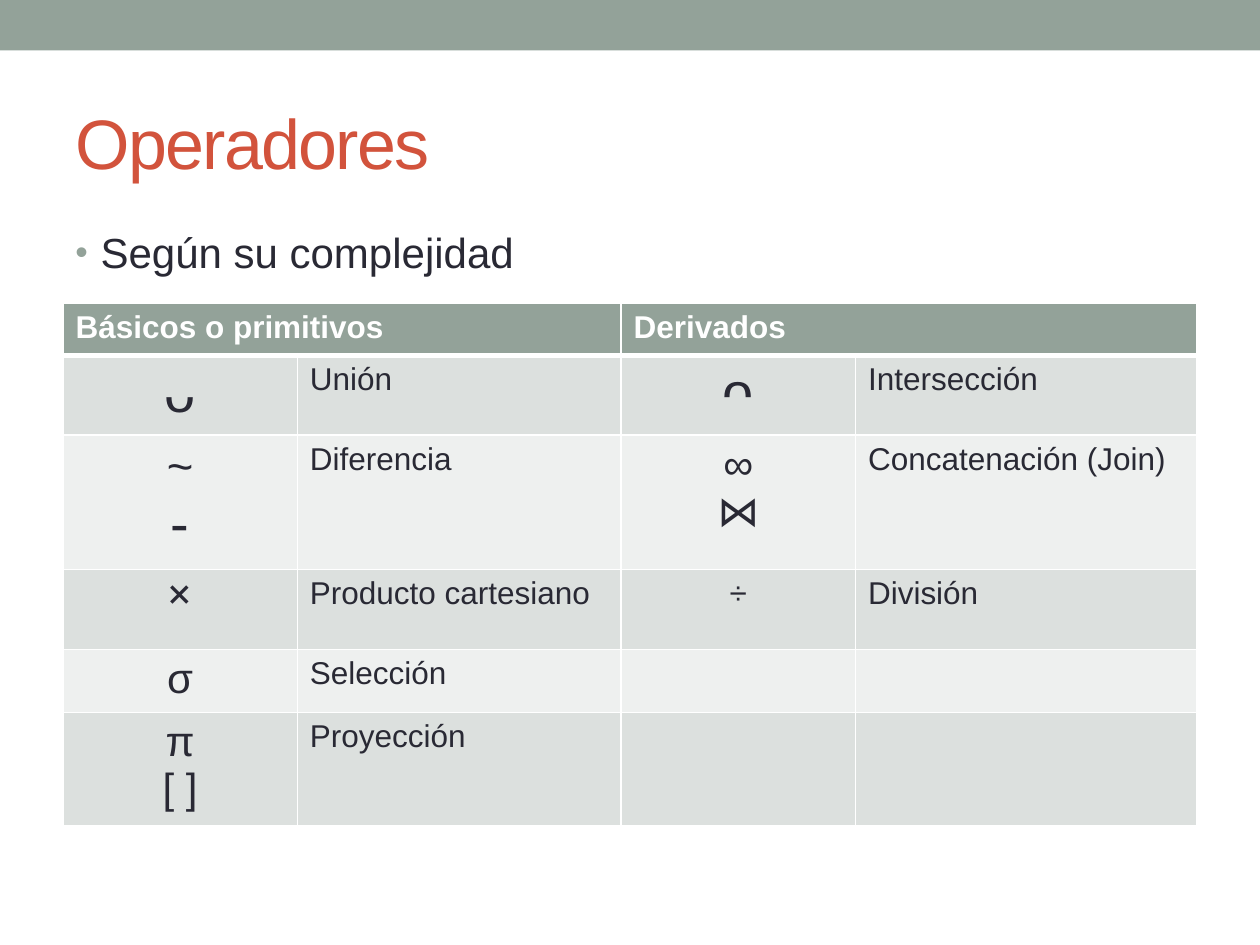
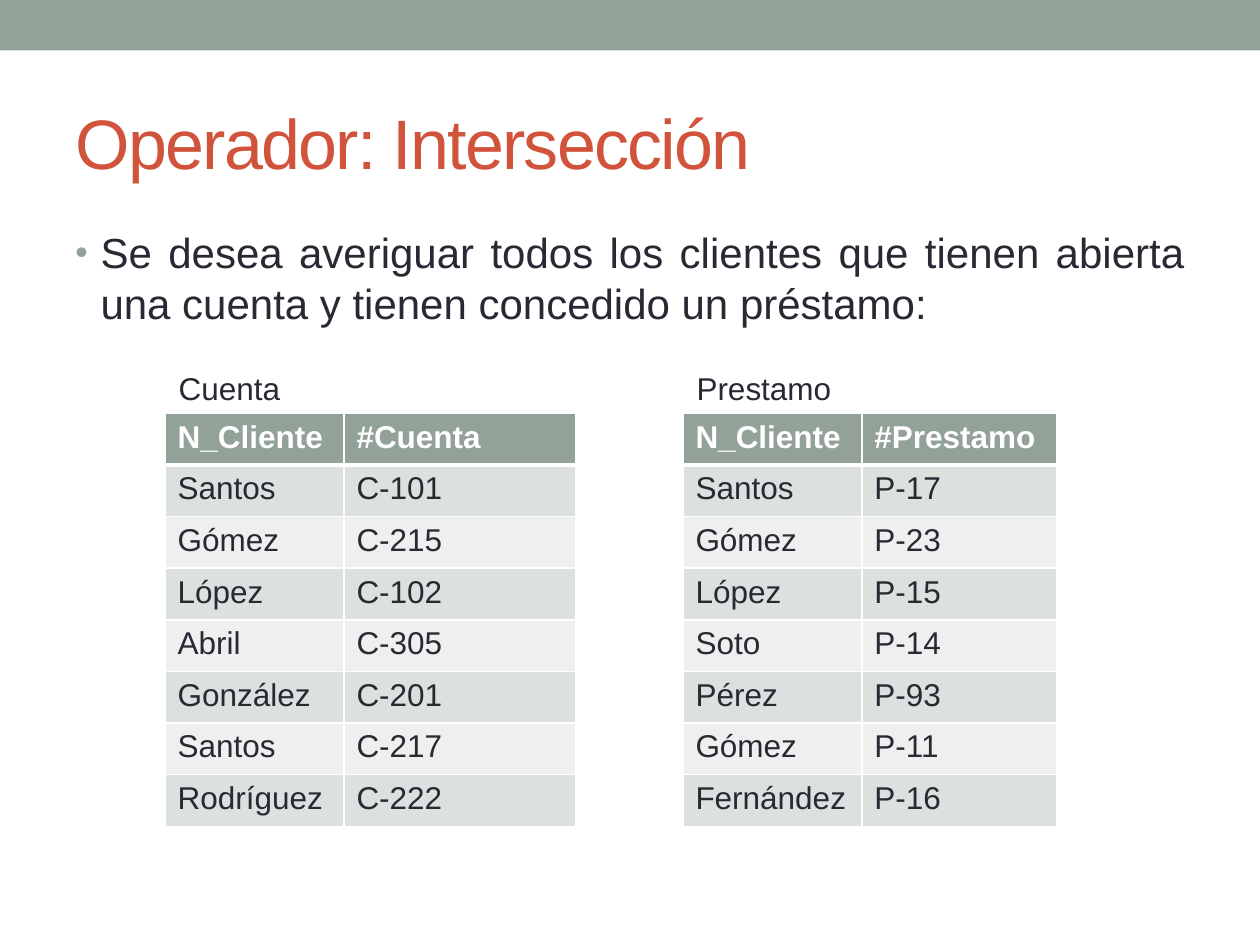
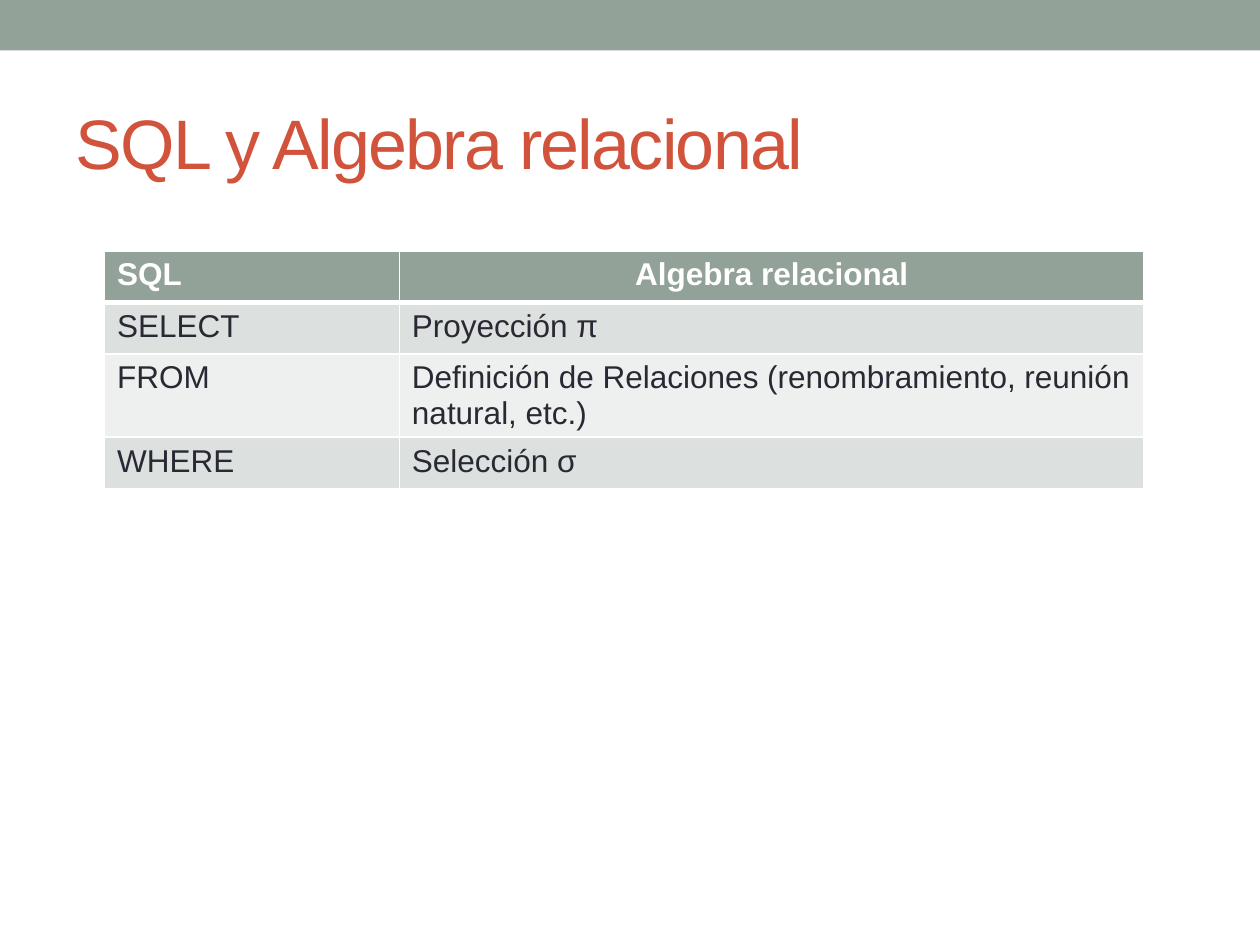
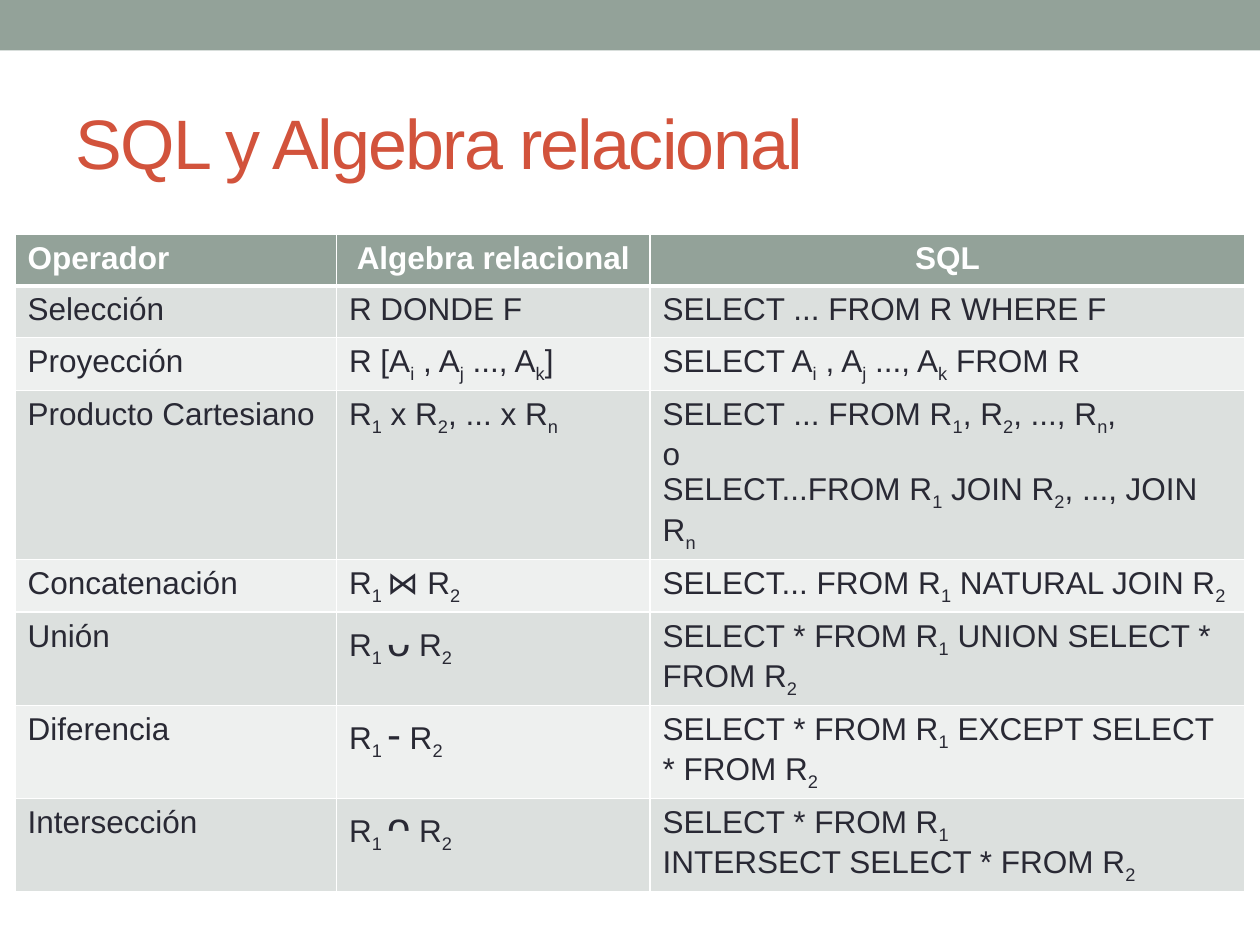
from dataclasses import dataclass

from lxml import etree
from pptx import Presentation
from pptx.dml.color import RGBColor
from pptx.enum.shapes import MSO_SHAPE
from pptx.enum.text import MSO_ANCHOR, MSO_AUTO_SIZE, PP_ALIGN
from pptx.oxml.ns import qn
from pptx.util import Inches, Pt

RECTANGLE = MSO_SHAPE.RECTANGLE
MIDDLE, TOP = MSO_ANCHOR.MIDDLE, MSO_ANCHOR.TOP
FIT_SHAPE = MSO_AUTO_SIZE.SHAPE_TO_FIT_TEXT
NO_FIT = MSO_AUTO_SIZE.NONE
LEFT, CENTER, JUSTIFY = PP_ALIGN.LEFT, PP_ALIGN.CENTER, PP_ALIGN.JUSTIFY


@dataclass(frozen=True)
class Theme:
    font: str = "Arial"
    accent: str = "93A299"
    title: str = "D2533C"
    text: str = "292934"
    white: str = "FFFFFF"
    dark_row: str = "DCE0DE"
    light_row: str = "EEF0EF"
    title_size: int = 40
    bullet_size: int = 24
    body_size: int = 18
    row_height: float = 0.41
    border: int = 1
    header_border: int = 3


THEME = Theme()

# In cell texts {_:x} is a subscript and {24:x} a symbol of 24 points.
OPERATORS = [
    ["Básicos o primitivos", "", "Derivados", ""],
    ["{32:ᴗ}", "Unión", "{32:ᴖ}", "Intersección"],
    ["{26:~}\n{32:-}", "Diferencia", "{24:∞}\n{24:⋈}", "Concatenación (Join)"],
    ["{32:˟}", "Producto cartesiano", "÷", "División"],
    ["{24:σ}", "Selección", "", ""],
    ["{24:π}\n{24:[ ]}", "Proyección", "", ""],
]
ACCOUNTS = [
    ["N_Cliente", "#Cuenta"],
    ["Santos", "C-101"],
    ["Gómez", "C-215"],
    ["López", "C-102"],
    ["Abril", "C-305"],
    ["González", "C-201"],
    ["Santos", "C-217"],
    ["Rodríguez", "C-222"],
]
LOANS = [
    ["N_Cliente", "#Prestamo"],
    ["Santos", "P-17"],
    ["Gómez", "P-23"],
    ["López", "P-15"],
    ["Soto", "P-14"],
    ["Pérez", "P-93"],
    ["Gómez", "P-11"],
    ["Fernández", "P-16"],
]
CLAUSES = [
    ["SQL", "Algebra relacional"],
    ["SELECT", "Proyección π"],
    ["FROM", "Definición de Relaciones (renombramiento, reunión natural, etc.)"],
    ["WHERE", "Selección σ"],
]
EQUIVALENCES = [
    ["Operador", "Algebra relacional", "SQL"],
    ["Selección", "R DONDE F", "SELECT ... FROM R WHERE F"],
    ["Proyección", "R [A{_:i} , A{_:j} ..., A{_:k}]",
     "SELECT A{_:i} , A{_:j} ..., A{_:k} FROM R"],
    ["Producto Cartesiano", "R{_:1} x R{_:2}, ... x R{_:n}",
     "SELECT ... FROM R{_:1}, R{_:2}, ..., R{_:n},\no\n"
     "SELECT...FROM R{_:1} JOIN R{_:2}, ..., JOIN R{_:n}"],
    ["Concatenación", "R{_:1 }⋈ R{_:2}", "SELECT... FROM R{_:1} NATURAL JOIN R{_:2}"],
    ["Unión", "R{_:1 }{24:ᴗ} R{_:2}",
     "SELECT * FROM R{_:1} UNION SELECT * FROM R{_:2}"],
    ["Diferencia", "R{_:1 }{24:-} R{_:2}",
     "SELECT * FROM R{_:1} EXCEPT SELECT * FROM R{_:2}"],
    ["Intersección", "R{_:1 }{24:ᴖ} R{_:2}",
     "SELECT * FROM R{_:1}\nINTERSECT SELECT * FROM R{_:2}"],
]


def rgb(color):
    return RGBColor.from_string(color)


def set_font(paragraph, size, color, bold=False):
    font = paragraph.font
    font.name, font.size, font.bold = THEME.font, Pt(size), bold
    font.color.rgb = rgb(color)


def add_marked_runs(paragraph, text):
    """Add runs, reading the {_:x} and {size:x} marks."""
    for piece in text.replace("}", "{").split("{"):
        mark, colon, content = piece.partition(":")
        if not piece:
            continue
        run = paragraph.add_run()
        run.text = content if colon else piece
        if mark == "_":
            run.font._element.set("baseline", "-25000")
        elif colon:
            run.font.size = Pt(int(mark))


# Slide frame: band and title
def add_slide(prs, title_text):
    slide = prs.slides.add_slide(prs.slide_layouts[5])
    band = slide.shapes.add_shape(RECTANGLE, 0, 0, prs.slide_width, Inches(0.4))
    band.shadow.inherit = False
    band.fill.solid()
    band.fill.fore_color.rgb = rgb(THEME.accent)
    band.line.fill.background()

    title = slide.shapes.title
    title.left, title.top = Inches(0.5), Inches(0.58)
    title.width, title.height = Inches(9), Inches(1.08)
    frame = title.text_frame
    frame.text = title_text
    frame.vertical_anchor = MIDDLE
    frame.auto_size = NO_FIT
    heading = frame.paragraphs[0]
    heading.alignment = LEFT
    set_font(heading, THEME.title_size, THEME.title)
    heading.runs[0].font._element.set("spc", "-100")
    return slide


def add_text(slide, text, left, top, width, height, size):
    box = slide.shapes.add_textbox(Inches(left), Inches(top), Inches(width), Inches(height))
    frame = box.text_frame
    frame.word_wrap = True
    frame.text = text
    set_font(frame.paragraphs[0], size, THEME.text)
    return frame


def add_bullet(slide, text):
    frame = add_text(slide, text, 0.5, 1.75, 9, 5.33, THEME.bullet_size)
    paragraph = frame.paragraphs[0]
    paragraph.alignment = JUSTIFY
    paragraph.space_before = Pt(0.2 * THEME.bullet_size)
    properties = paragraph._p.get_or_add_pPr()
    properties.set("marL", str(Inches(0.2)))
    properties.set("indent", str(-Inches(0.2)))
    bullet_color = etree.Element(qn("a:buClr"))
    etree.SubElement(bullet_color, qn("a:srgbClr"), val=THEME.accent)
    bullet_size = etree.Element(qn("a:buSzPct"), val="85000")
    bullet_font = etree.Element(qn("a:buFont"), typeface=THEME.font)
    bullet_char = etree.Element(qn("a:buChar"), char="•")
    run_defaults = properties.find(qn("a:defRPr"))
    for part in (bullet_color, bullet_size, bullet_font, bullet_char):
        run_defaults.addprevious(part)


def add_caption(slide, text, left, top):
    frame = add_text(slide, text, left, top, 2.6, 0.4, THEME.body_size)
    frame.auto_size = FIT_SHAPE


# Tables
def set_borders(cell, top, bottom):
    properties = cell._tc.get_or_add_tcPr()
    widths = {"a:lnL": THEME.border, "a:lnR": THEME.border, "a:lnT": top, "a:lnB": bottom}
    for side, width in widths.items():
        line = etree.SubElement(properties, qn(side), w=str(Pt(width)))
        fill = etree.SubElement(line, qn("a:solidFill"))
        etree.SubElement(fill, qn("a:srgbClr"), val=THEME.white)


def fill_cell(cell, text, row, alignment):
    is_header = row == 0
    set_borders(cell,
                top=THEME.header_border if row == 1 else THEME.border,
                bottom=THEME.header_border if is_header else THEME.border)
    row_color = THEME.dark_row if row % 2 else THEME.light_row
    cell.fill.solid()
    cell.fill.fore_color.rgb = rgb(THEME.accent if is_header else row_color)
    cell.vertical_anchor = TOP
    frame = cell.text_frame
    for number, line in enumerate(text.split("\n")):
        paragraph = frame.add_paragraph() if number else frame.paragraphs[0]
        paragraph.alignment = alignment
        set_font(paragraph, THEME.body_size,
                 THEME.white if is_header else THEME.text, bold=is_header)
        add_marked_runs(paragraph, line)


def add_grid(slide, rows, left, top, widths, header_span=1,
             centered_headers=(), centered_columns=()):
    frame = slide.shapes.add_table(
        len(rows), len(widths), Inches(left), Inches(top),
        Inches(sum(widths)), Inches(THEME.row_height * len(rows)))
    table = frame.table
    for column, width in zip(table.columns, widths):
        column.width = Inches(width)
    for r, texts in enumerate(rows):
        table.rows[r].height = Inches(THEME.row_height)
        centered = centered_columns if r else centered_headers
        for c, text in enumerate(texts):
            fill_cell(table.cell(r, c), text, r, CENTER if c in centered else LEFT)
    if header_span > 1:
        for c in range(0, len(widths), header_span):
            table.cell(0, c).merge(table.cell(0, c + header_span - 1))


def main():
    prs = Presentation()
    prs.slide_width, prs.slide_height = Inches(10), Inches(7.5)

    # Operators by complexity
    slide = add_slide(prs, "Operadores")
    add_bullet(slide, "Según su complejidad")
    add_grid(slide, OPERATORS, 0.5, 2.41, [1.86, 2.57, 1.86, 2.71],
             header_span=2, centered_columns=(0, 2))

    # Intersection example
    slide = add_slide(prs, "Operador: Intersección")
    add_bullet(slide, "Se desea averiguar todos los clientes que tienen abierta "
                      "una cuenta y tienen concedido un préstamo:")
    for caption, rows, left, widths in (
        ("Cuenta", ACCOUNTS, 1.31, [1.42, 1.84]),
        ("Prestamo", LOANS, 5.42, [1.42, 1.55]),
    ):
        add_grid(slide, rows, left, 3.28, widths)
        add_caption(slide, caption, left + 0.01, 2.88)

    # SQL clauses
    slide = add_slide(prs, "SQL y Algebra relacional")
    add_grid(slide, CLAUSES, 0.83, 1.99, [2.34, 5.91], centered_headers=(1,))

    # Operators in algebra and in SQL
    slide = add_slide(prs, "SQL y Algebra relacional")
    add_grid(slide, EQUIVALENCES, 0.12, 1.86, [2.55, 2.49, 4.72],
             centered_headers=(1, 2))

    prs.save("out.pptx")


if __name__ == "__main__":
    main()
